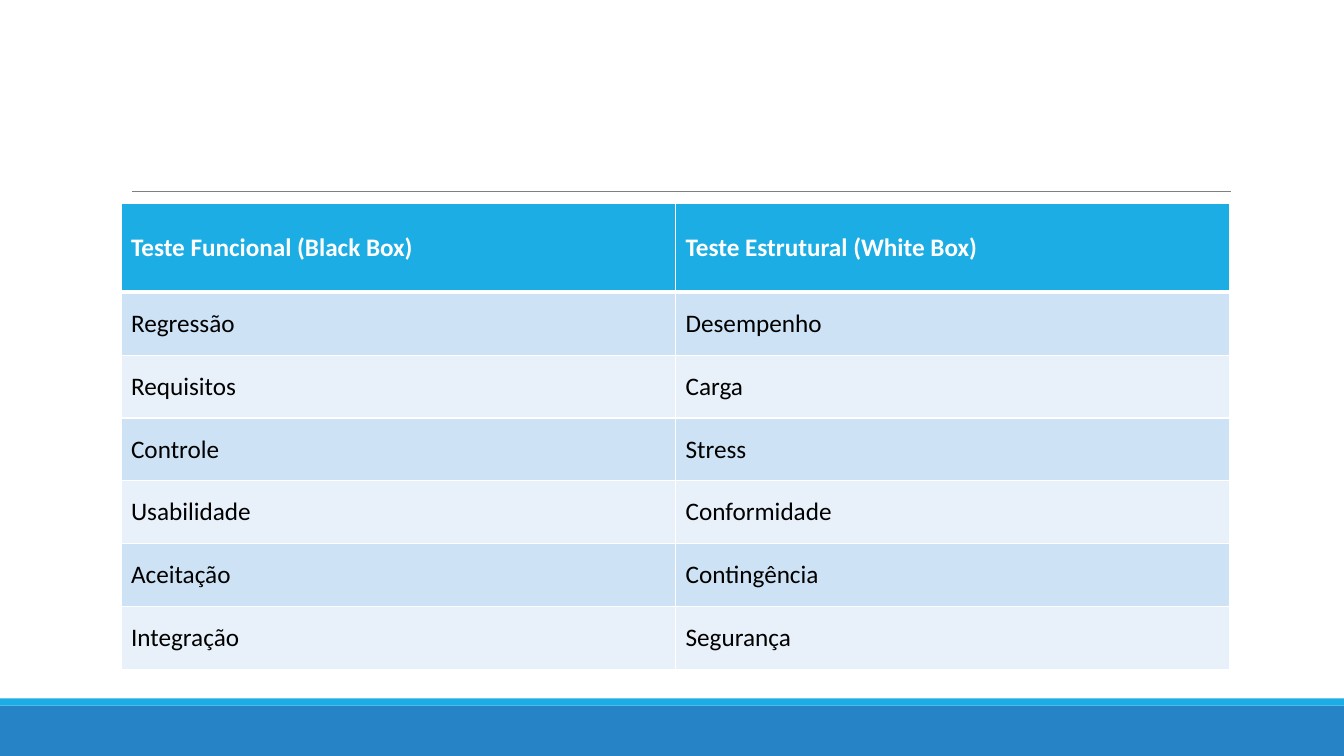
from lxml import etree
from pptx import Presentation
from pptx.dml.color import RGBColor as RGB
from pptx.enum.shapes import MSO_CONNECTOR as CONN, MSO_SHAPE as SHAPE
from pptx.enum.text import MSO_ANCHOR as ANCHOR
from pptx.oxml.ns import qn
from pptx.util import Inches, Pt

COLORS = {
    "blue": "2683C6",
    "cyan": "1CADE4",
    "rule": "808080",
    "white": "FFFFFF",
    "black": "000000",
    "odd": "CDE3F5",
    "even": "E8F1FA",
}
ROWS = [
    ("Teste Funcional (Black Box)", "Teste Estrutural (White Box)"),
    ("Regressão", "Desempenho"),
    ("Requisitos", "Carga"),
    ("Controle", "Stress"),
    ("Usabilidade", "Conformidade"),
    ("Aceitação", "Contingência"),
    ("Integração", "Segurança"),
]
TABLE_H, HEADER_H = 4.62, 0.88


def color(name):
    return RGB.from_string(COLORS[name])


def add_border(cell, side, width):
    ln = etree.SubElement(cell._tc.get_or_add_tcPr(), qn("a:ln" + side), w=str(Pt(width)))
    fill = etree.SubElement(ln, qn("a:solidFill"))
    etree.SubElement(fill, qn("a:srgbClr"), val=COLORS["white"])


prs = Presentation()
prs.slide_width, prs.slide_height = Inches(13.33), Inches(7.5)
s = prs.slides.add_slide(prs.slide_layouts[6])

for top, height, name in [(7, 0.5, "blue"), (6.93, 0.07, "cyan")]:
    sp = s.shapes.add_shape(SHAPE.RECTANGLE, 0, Inches(top), prs.slide_width, Inches(height))
    sp.shadow.inherit = False
    sp.fill.solid()
    sp.fill.fore_color.rgb = color(name)
    sp.line.fill.background()

rule = s.shapes.add_connector(CONN.STRAIGHT, Inches(1.31), Inches(1.9), Inches(12.21), Inches(1.9))
rule.line.color.rgb = color("rule")
rule.line.width = Pt(0.5)
etree.SubElement(rule._element.spPr, qn("a:effectLst"))

table = s.shapes.add_table(
    len(ROWS), 2, Inches(1.2), Inches(2.02), Inches(11), Inches(TABLE_H)
).table
for i, texts in enumerate(ROWS):
    header = i == 0
    table.rows[i].height = Inches(HEADER_H if header else (TABLE_H - HEADER_H) / (len(ROWS) - 1))
    fill = "cyan" if header else "odd" if i % 2 else "even"
    borders = {"L": 1, "R": 1, "T": 3 if i == 1 else 1, "B": 3 if header else 1}
    fmt = {"name": "Calibri", "size": Pt(18), "bold": header}
    for j, text in enumerate(texts):
        cell = table.cell(i, j)
        cell.vertical_anchor = ANCHOR.MIDDLE
        cell.margin_left = cell.margin_right = Inches(0.1)
        cell.margin_top = cell.margin_bottom = 0
        for side, width in borders.items():
            add_border(cell, side, width)
        cell.fill.solid()
        cell.fill.fore_color.rgb = color(fill)
        r = cell.text_frame.paragraphs[0].add_run()
        r.text = text
        for key, value in fmt.items():
            setattr(r.font, key, value)
        r.font.color.rgb = color("white" if header else "black")

prs.save("out.pptx")
